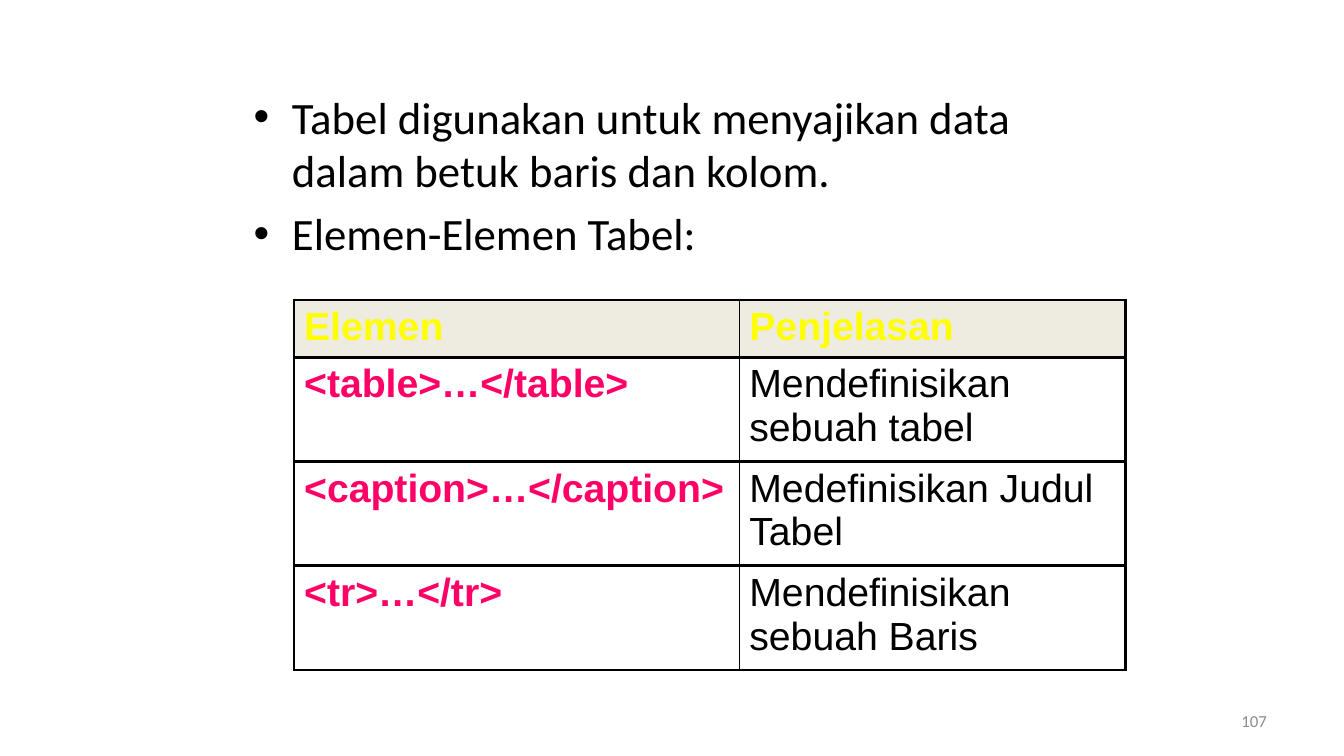
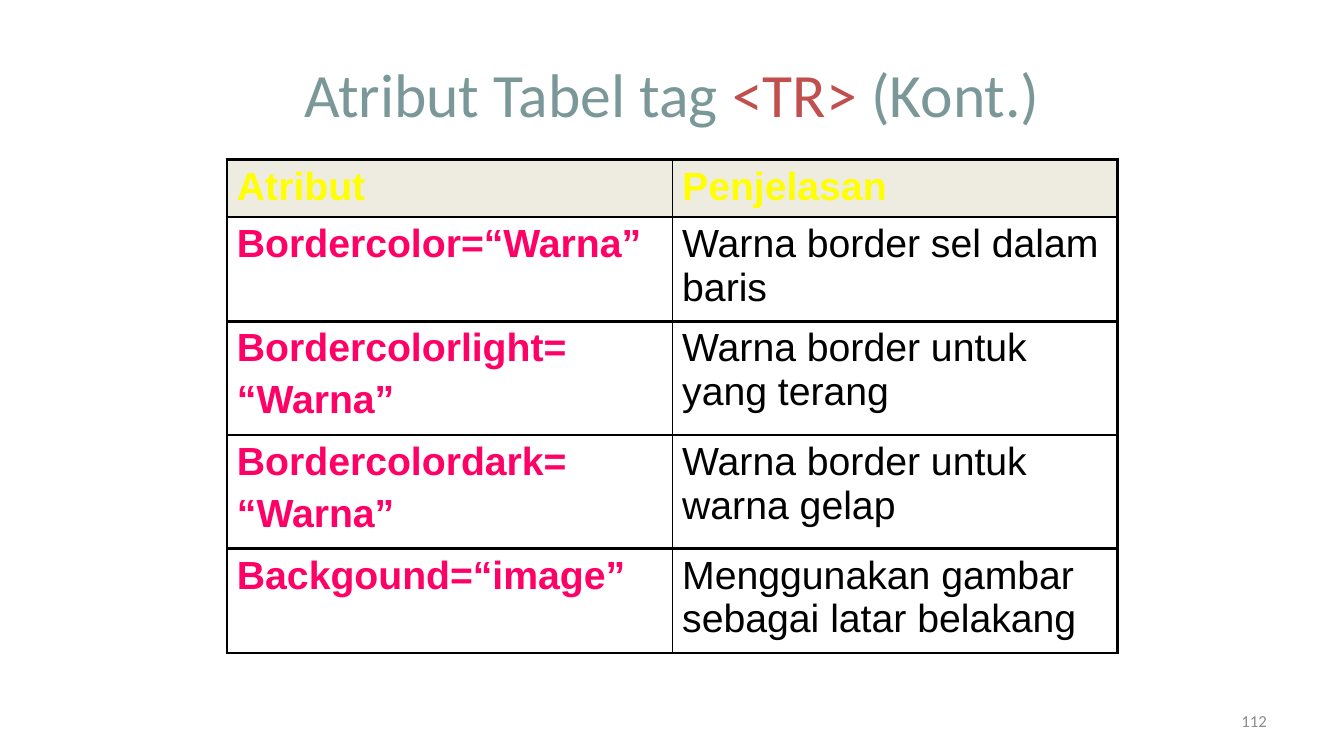
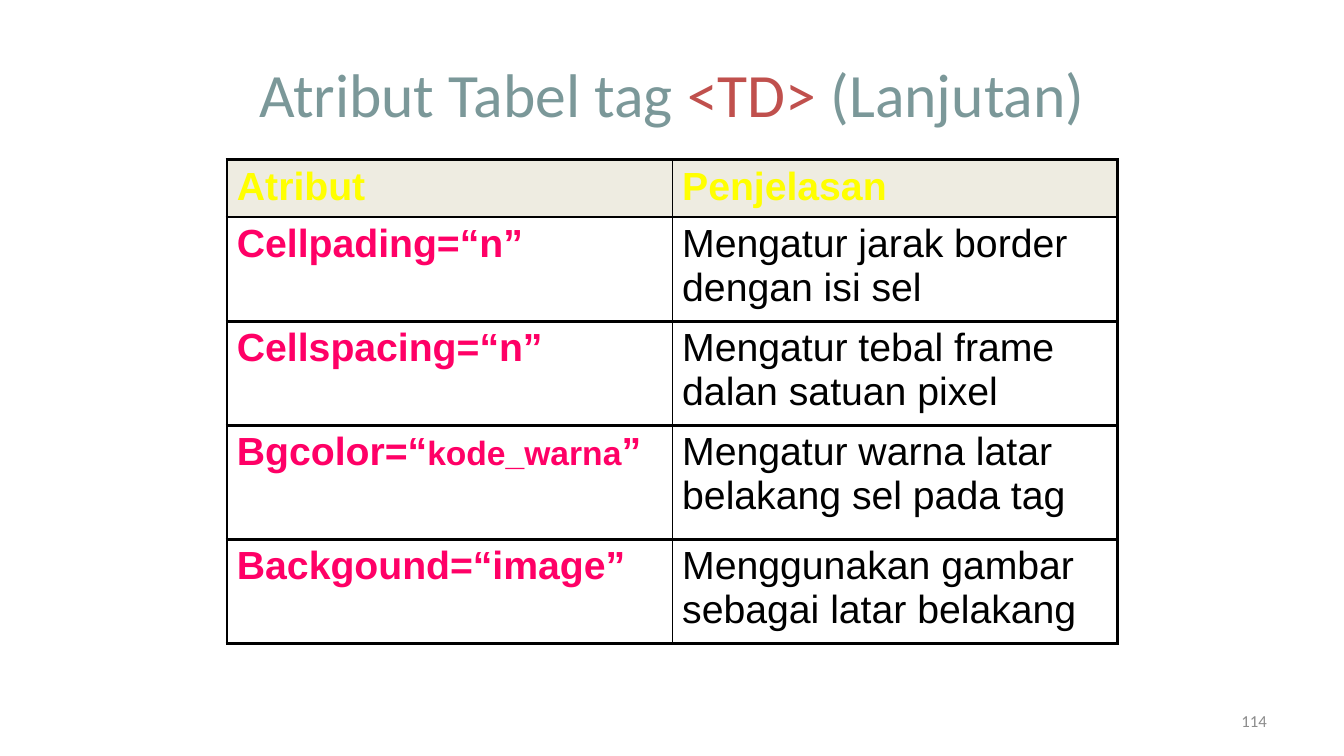
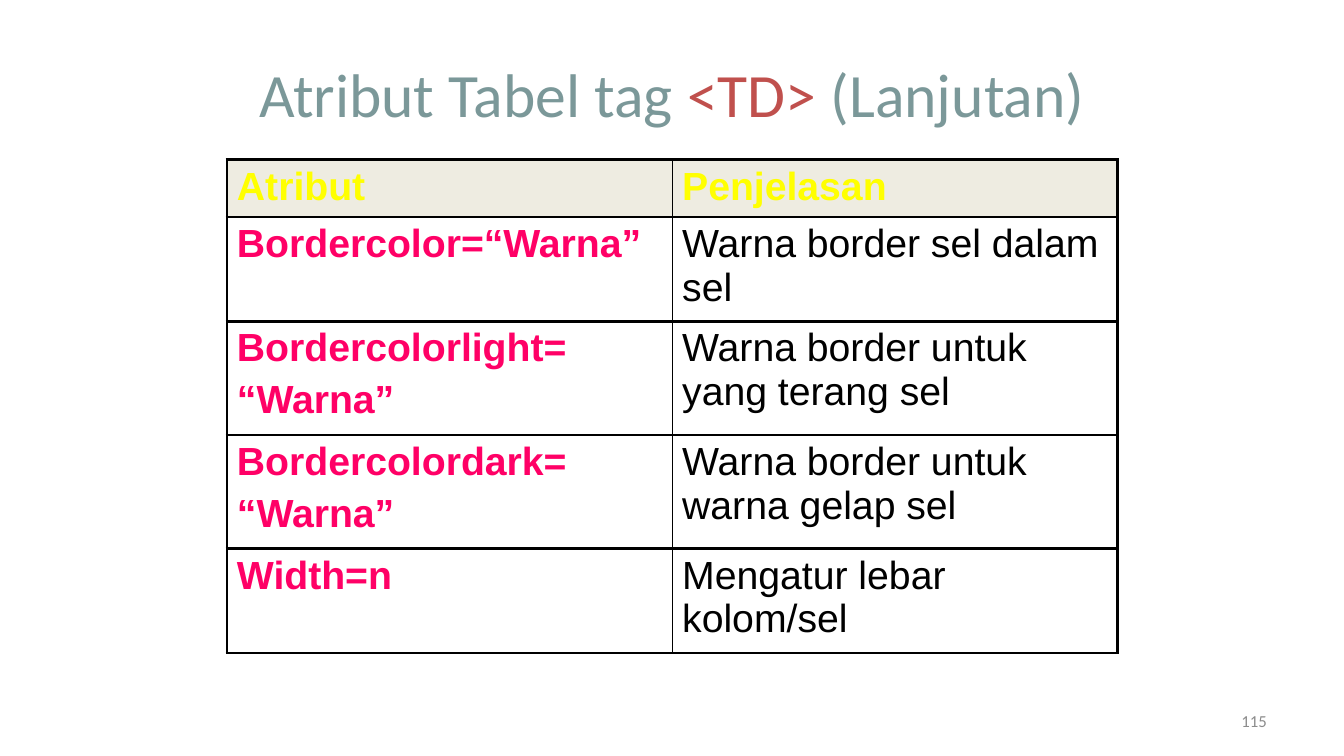
from lxml import etree
from pptx import Presentation
from pptx.dml.color import RGBColor
from pptx.enum.text import MSO_ANCHOR, PP_ALIGN
from pptx.oxml.ns import qn
from pptx.util import Inches, Pt

LEFT, CENTER, RIGHT = PP_ALIGN.LEFT, PP_ALIGN.CENTER, PP_ALIGN.RIGHT
TOP, MIDDLE = MSO_ANCHOR.TOP, MSO_ANCHOR.MIDDLE
BLANK_LAYOUT = 6
SLIDE_WIDTH, SLIDE_HEIGHT = Inches(13.333), Inches(7.5)

BLACK, ACCENT, HEADER_FILL = "000000", "C0504D", "EEECE1"
TITLE = {"name": "Calibri", "size": 44, "color": "7B9899"}
BODY = {"name": "Calibri", "size": 32, "color": BLACK}
NUMBER = {"name": "Calibri", "size": 12, "color": "8C8C8C"}
CELL = {"name": "Arial", "size": 28, "color": BLACK, "bold": False}
HEADER = {**CELL, "color": "FFFF00", "bold": True}
TERM = {**CELL, "color": "FF0066", "bold": True}

TITLE_FRAME = (5, 4, 90, 16.67)
BODY_FRAME = (18.13, 11.17, 63.75, 24.4)
NUMBER_FRAME = (71.67, 92.67, 23.33, 5.33)
SPACE_SHARE = 0.2
BULLET_INDENT = Inches(0.38)
OUTER_LINE, INNER_LINE = Pt(2.25), Pt(1)

HEADER_ROW, TIGHT_ROW, NORMAL_ROW, TALL_ROW = 7.6, 12.96, 13.75, 15.05
ATTRIBUTE_GRID = {"left": 16.88, "top": 21.11, "columns": (33.13, 33.13)}
ELEMENT_GRID = {"left": 21.88, "top": 39.67, "columns": (33.13, 28.75)}
BORDER_ROWS = (HEADER_ROW, NORMAL_ROW, TALL_ROW, TALL_ROW, NORMAL_ROW)


def across(share):
    return round(SLIDE_WIDTH * share / 100)


def down(share):
    return round(SLIDE_HEIGHT * share / 100)


def color(value):
    return RGBColor.from_string(value)


def style_span(span, style):
    values = {**style, "size": Pt(style["size"])}
    span.font.color.rgb = color(values.pop("color"))
    for name, value in values.items():
        setattr(span.font, name, value)


def add_bullet(para):
    properties = para._p.get_or_add_pPr()
    properties.set("marL", str(BULLET_INDENT))
    properties.set("indent", str(-BULLET_INDENT))
    etree.SubElement(properties, qn("a:buFont")).set("typeface", "Arial")
    etree.SubElement(properties, qn("a:buChar")).set("char", "•")


def write(frame, paragraphs, style, align=LEFT, bullets=False):
    for index, spans in enumerate(paragraphs):
        para = frame.add_paragraph() if index else frame.paragraphs[0]
        if bullets:
            add_bullet(para)
        para.alignment = align
        if index:
            para.space_before = Pt(style["size"] * SPACE_SHARE)
        for text, changes in spans:
            span = para.add_run()
            span.text = text
            style_span(span, {**style, **changes})


def plain(*lines):
    return [[(line, {})] for line in lines]


def add_text(page, place, paragraphs, style, anchor=TOP, **options):
    left, top, width, height = place
    box = page.shapes.add_textbox(across(left), down(top), across(width), down(height))
    frame = box.text_frame
    frame.word_wrap = True
    frame.vertical_anchor = anchor
    write(frame, paragraphs, style, **options)


def add_border(cell, side, width):
    line = etree.SubElement(cell._tc.get_or_add_tcPr(), qn("a:ln" + side))
    line.set("w", str(width))
    fill = etree.SubElement(line, qn("a:solidFill"))
    etree.SubElement(fill, qn("a:srgbClr")).set("val", BLACK)


def fill_cell(cell, paragraphs, is_header, is_first):
    add_border(cell, "L", OUTER_LINE if is_first else INNER_LINE)
    add_border(cell, "R", INNER_LINE if is_first else OUTER_LINE)
    for side in "TB":
        add_border(cell, side, OUTER_LINE)
    if is_header:
        cell.fill.solid()
        cell.fill.fore_color.rgb = color(HEADER_FILL)
    else:
        cell.fill.background()
    style = HEADER if is_header else TERM if is_first else CELL
    write(cell.text_frame, paragraphs, style)


def add_grid(page, grid, heights, first_heading, entries):
    columns = grid["columns"]
    rows = [(plain(first_heading), "Penjelasan"), *entries]
    table = page.shapes.add_table(
        len(rows), len(columns), across(grid["left"]), down(grid["top"]),
        across(sum(columns)), down(sum(heights))).table
    table.first_row = table.horz_banding = False
    for column, width in zip(table.columns, columns):
        column.width = across(width)
    for index, (height, (term, meaning)) in enumerate(zip(heights, rows)):
        table.rows[index].height = down(height)
        fill_cell(table.cell(index, 0), term, index == 0, True)
        fill_cell(table.cell(index, 1), plain(meaning), index == 0, False)


def add_page(deck, number, title=None):
    page = deck.slides.add_slide(deck.slide_layouts[BLANK_LAYOUT])
    if title:
        tag, ending = title
        spans = [("Atribut Tabel tag ", {}), (tag, {"color": ACCENT}), (" " + ending, {})]
        add_text(page, TITLE_FRAME, [spans], TITLE, MIDDLE, align=CENTER)
    add_text(page, NUMBER_FRAME, plain(str(number)), NUMBER, MIDDLE, align=RIGHT)
    return page


def add_attributes(deck, number, title, heights, entries):
    page = add_page(deck, number, title)
    add_grid(page, ATTRIBUTE_GRID, heights, "Atribut", entries)


def border_entries(inside, light, dark):
    return [
        (plain("Bordercolor=“Warna”"), inside),
        (plain("Bordercolorlight=", "“Warna”"), light),
        (plain("Bordercolordark=", "“Warna”"), dark),
    ]


def main():
    deck = Presentation()
    deck.slide_width, deck.slide_height = SLIDE_WIDTH, SLIDE_HEIGHT
    background = (plain("Backgound=“image”"), "Menggunakan gambar sebagai latar belakang")

    page = add_page(deck, 107)
    add_text(page, BODY_FRAME, plain(
        "Tabel digunakan untuk menyajikan data dalam betuk baris dan kolom.",
        "Elemen-Elemen Tabel:"), BODY, bullets=True)
    add_grid(page, ELEMENT_GRID, (HEADER_ROW, NORMAL_ROW, NORMAL_ROW, TIGHT_ROW), "Elemen", [
        (plain("<table>…</table>"), "Mendefinisikan sebuah tabel"),
        (plain("<caption>…</caption>"), "Medefinisikan Judul Tabel"),
        (plain("<tr>…</tr>"), "Mendefinisikan sebuah Baris"),
    ])

    add_attributes(deck, 112, ("<TR>", "(Kont.)"), BORDER_ROWS, [
        *border_entries("Warna border sel dalam baris",
                        "Warna border untuk yang terang",
                        "Warna border untuk warna gelap"),
        background,
    ])

    continued = ("<TD>", "(Lanjutan)")
    color_code = [[("Bgcolor=“", {}), ("kode_warna", {"size": 24}), ("”", {})]]
    heights = (HEADER_ROW, NORMAL_ROW, TIGHT_ROW, TALL_ROW, NORMAL_ROW)
    add_attributes(deck, 114, continued, heights, [
        (plain("Cellpading=“n”"), "Mengatur jarak border dengan isi sel"),
        (plain("Cellspacing=“n”"), "Mengatur tebal frame dalan satuan pixel"),
        (color_code, "Mengatur warna latar belakang sel pada tag"),
        background,
    ])

    add_attributes(deck, 115, continued, BORDER_ROWS, [
        *border_entries("Warna border sel dalam sel",
                        "Warna border untuk yang terang sel",
                        "Warna border untuk warna gelap sel"),
        (plain("Width=n"), "Mengatur lebar kolom/sel"),
    ])

    deck.save("out.pptx")


if __name__ == "__main__":
    main()
